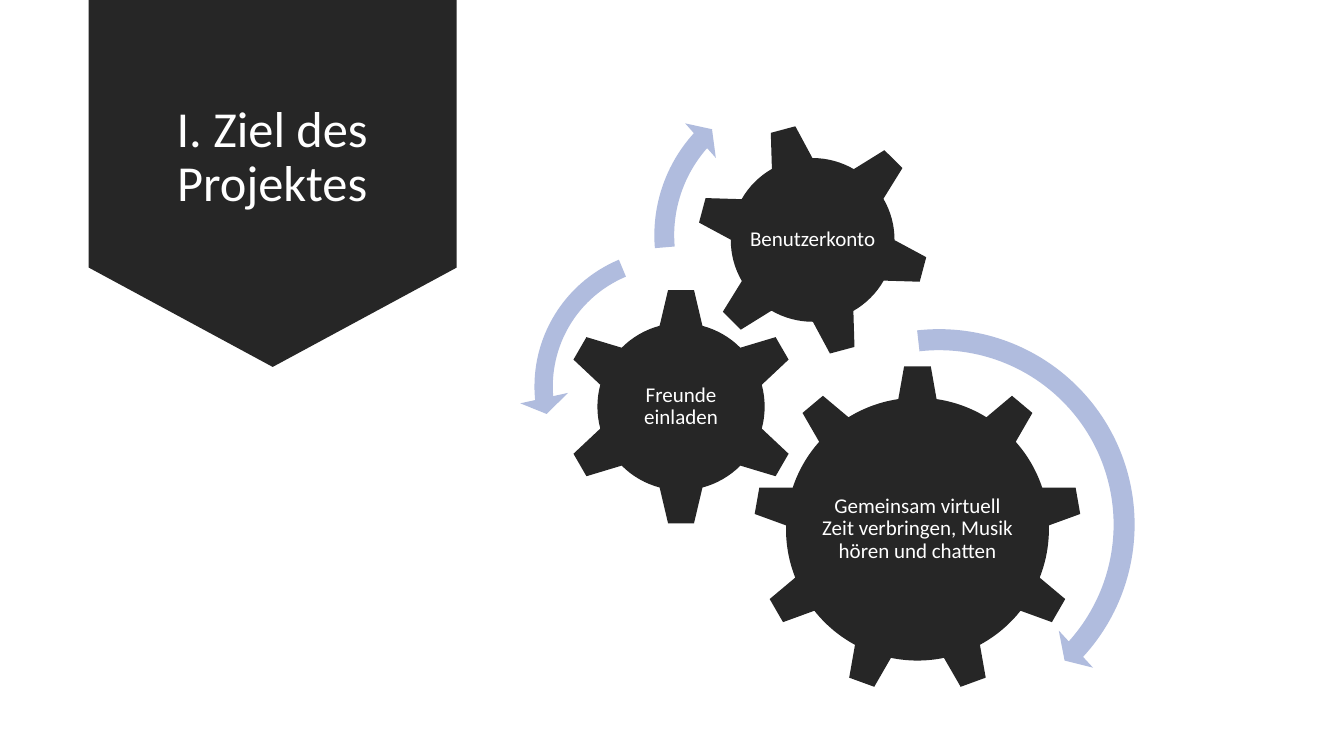
"""Build the project goal slide: a title banner beside three turning gears."""
from pptx import Presentation
from pptx.dml.color import RGBColor as RGB
from pptx.enum.shapes import MSO_SHAPE as SHAPE
from pptx.enum.text import MSO_ANCHOR as ANCHOR, MSO_AUTO_SIZE as AUTO, PP_ALIGN as ALIGN
from pptx.util import Inches, Pt

THEME = {
    "dark": RGB.from_string("262626"),
    "arrow": RGB.from_string("B0BCDE"),
    "text": RGB.from_string("FFFFFF"),
    "font": "Calibri",
    "title": Pt(36),
    "label": Pt(15),
}
COLS, ROWS = 160, 90

prs = Presentation()
prs.slide_width, prs.slide_height = Inches(13.33), Inches(7.5)
cell = prs.slide_height / ROWS
s = prs.slides.add_slide(prs.slide_layouts[5])


def add_shape(shapes, kind, box, color):
    """Add a plain filled preset shape at a box given in grid cells."""
    sp = shapes.add_shape(kind, *[round(v * cell) for v in box])
    sp.shadow.inherit = False
    sp.fill.solid()
    sp.fill.fore_color.rgb = THEME[color]
    sp.line.fill.background()
    return sp


def set_text(sp, text, size, margins):
    """Write centred text with the theme's font, colour and size."""
    tf = sp.text_frame
    frame = {"word_wrap": True, "auto_size": AUTO.NONE, "vertical_anchor": ANCHOR.MIDDLE, **margins}
    for name, value in frame.items():
        setattr(tf, name, value)
    p = tf.paragraphs[0]
    p.alignment, p.line_spacing = ALIGN.CENTER, 0.9
    r = p.add_run()
    r.text = text
    for name, value in {"name": THEME["font"], "size": THEME[size]}.items():
        setattr(r.font, name, value)
    r.font.color.rgb = THEME["text"]


banner = add_shape(s.shapes, SHAPE.DOWN_ARROW, (10.56, -0.12, 43.8, 43.8), "dark")
banner.adjustments[0], banner.adjustments[1] = 1, 0.27
title = s.shapes.title
title.element.addprevious(banner.element)
for name, value in {"left": 13.44, "top": 2.52, "width": 37.92, "height": 32.64}.items():
    setattr(title, name, round(value * cell))
set_text(title, "I. Ziel des Projektes", "title", {})

group = s.shapes.add_group_shape()
gears = [
    (SHAPE.GEAR_9, 109.2, 63, 39.12, 0, 23.4, 20.16,
     "Gemeinsam virtuell Zeit verbringen, Musik hören und chatten"),
    (SHAPE.GEAR_6, 81.06, 48.42, 28.44, 0, 14.16, 14.04, "Freunde einladen"),
    (SHAPE.GEAR_6, 96.72, 28.56, 27.84, 345, 15.6, 15.6, "Benutzerkonto"),
]
margins = {f"margin_{side}": Inches(0.02) for side in ("left", "top", "right", "bottom")}
for kind, x, y, size, turn, w, h, text in gears:
    gear = add_shape(group.shapes, kind, (x - size / 2, y - size / 2, size, size), "dark")
    gear.rotation = turn
    box = (x - w / 2, y - h / 2, w, h)
    label = group.shapes.add_textbox(*[round(v * cell) for v in box])
    set_text(label, text, "label", margins)

arrows = [
    (SHAPE.CIRCULAR_ARROW, 86.76, 37.44, 50.04, 0.05, 4.98, 42.32, 263.54, 0.06),
    (SHAPE.LEFT_CIRCULAR_ARROW, 61.8, 27.84, 36.36, 0.06, 7.17, 174.82, 247.3, 0.08),
    (SHAPE.CIRCULAR_ARROW, 76.32, 8.4, 39.24, 0.06, 6.57, 221.9, 175.14, 0.07),
]
for kind, x, y, size, band, *angles, head in arrows:
    arrow = add_shape(group.shapes, kind, (x, y, size, size), "arrow")
    for i, value in enumerate([band, *[a * 0.6 for a in angles], head]):
        arrow.adjustments[i] = value

prs.save("out.pptx")
